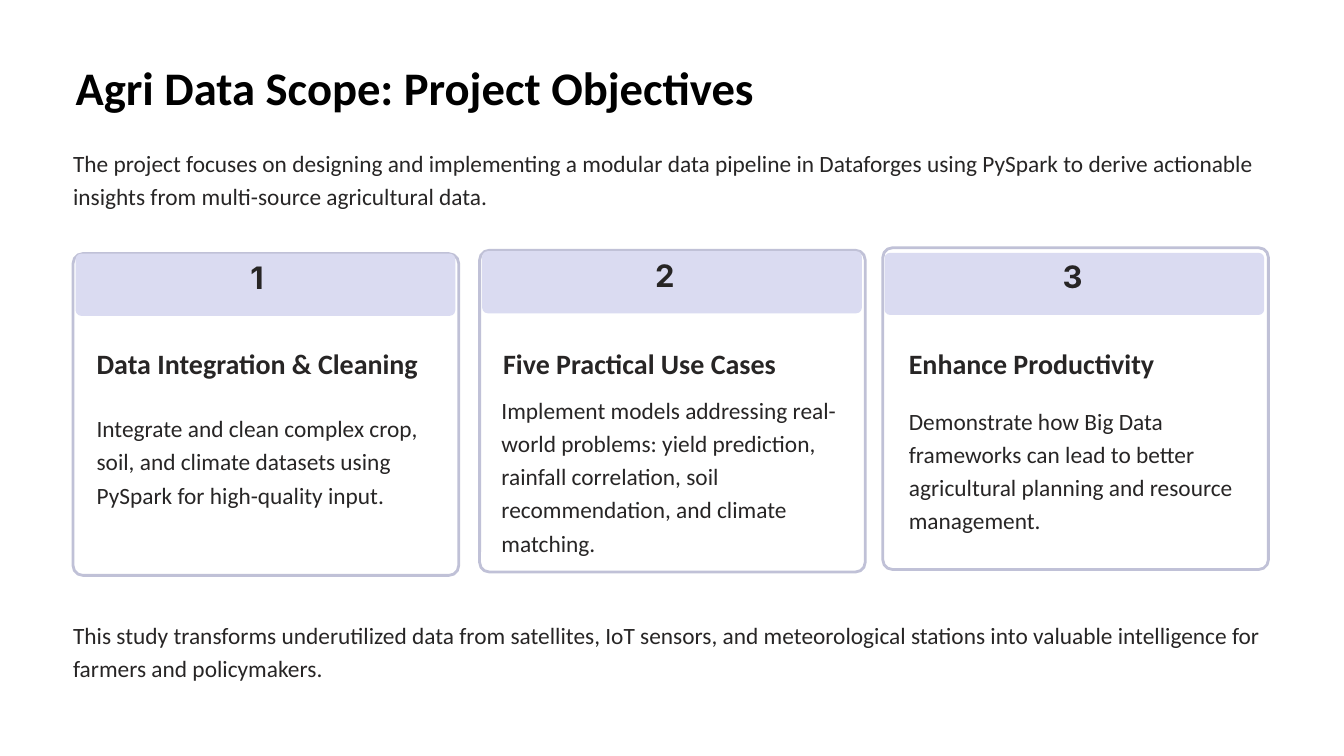
from pptx import Presentation
from pptx.dml.color import RGBColor
from pptx.enum.shapes import MSO_SHAPE
from pptx.enum.text import MSO_ANCHOR, MSO_AUTO_SIZE, PP_ALIGN
from pptx.util import Pt

SCALE = 9144  # EMU per px, 100 px to the inch
INK = "272525"
CARD_W, CARD_H = 459, 383
BAND_W, BAND_H = 452, 74

INTRO = ("The project focuses on designing and implementing a modular data pipeline "
         "in Dataforges using PySpark to derive actionable insights from "
         "multi-source agricultural data.")
CLOSE = ("This study transforms underutilized data from satellites, IoT sensors, and "
         "meteorological stations into valuable intelligence for farmers and policymakers.")

# card, band, number, heading and body corners, then heading and body text
CARDS = [
    ((87, 302), (90, 302), (298, 315), (115, 414), (115, 487),
     "Data Integration & Cleaning",
     "Integrate and clean complex crop, soil, and climate datasets using PySpark "
     "for high-quality input."),
    ((571, 298), (574, 299), (780, 313), (599, 414), (597, 465),
     "Five Practical Use Cases",
     "Implement models addressing real-world problems: yield prediction, rainfall "
     "correlation, soil recommendation, and climate matching."),
    ((1051, 295), (1053, 301), (1265, 314), (1082, 414), (1082, 478),
     "Enhance Productivity",
     "Demonstrate how Big Data frameworks can lead to better agricultural planning "
     "and resource management."),
]


def px(n):
    return int(n * SCALE)


def color(code):
    return RGBColor.from_string(code)


def write(frame, text, size, lead, bold=False, font="Calibri", ink=INK):
    """Fill a text frame with one run at a fixed line height."""
    frame.margin_left = frame.margin_top = 0
    frame.margin_right = frame.margin_bottom = 0
    frame.word_wrap = True
    frame.auto_size = MSO_AUTO_SIZE.NONE
    frame.vertical_anchor = MSO_ANCHOR.TOP
    para = frame.paragraphs[0]
    para.alignment = PP_ALIGN.LEFT
    para.line_spacing = Pt(lead)
    para.space_before = Pt(0)
    run = para.add_run()
    run.text = text
    run.font.name = font
    run.font.size = Pt(size)
    run.font.bold = bold
    run.font.color.rgb = color(ink)


def add_text(slide, spot, size, *args, **style):
    box = slide.shapes.add_textbox(*map(px, spot + size))
    write(box.text_frame, *args, **style)


def add_panel(slide, spot, size, round_by, fill, line=None):
    panel = slide.shapes.add_shape(MSO_SHAPE.ROUNDED_RECTANGLE, *map(px, spot + size))
    panel.shadow.inherit = False
    panel.adjustments[0] = round_by
    panel.fill.solid()
    panel.fill.fore_color.rgb = color(fill)
    if line:
        panel.line.color.rgb = color(line)
        panel.line.width = Pt(2.4)
    else:
        panel.line.fill.background()


def add_title(slide, text):
    title = slide.shapes.title
    title.left, title.top, title.width, title.height = map(px, (90, 59, 1047, 78))
    write(title.text_frame, text, 40, 55.5, bold=True, ink="000000")


def add_card(slide, number, card, band, spot, head_at, body_at, head, body):
    add_panel(slide, card, (CARD_W, CARD_H), 0.03, "FFFFFF", "C0C1D7")
    add_panel(slide, band, (BAND_W, BAND_H), 0.09, "DADBF1")
    add_text(slide, spot, (37, 47), str(number), 26.5, 26.5, bold=True, font="Inter")
    add_text(slide, head_at, (403, 39), head, 24, 27.5, bold=True)
    add_text(slide, body_at, (403, 198), body, 20, 28.5)


def main():
    deck = Presentation()
    deck.slide_width, deck.slide_height = px(1600), px(900)
    slide = deck.slides.add_slide(deck.slide_layouts[5])
    add_title(slide, "Agri Data Scope: Project Objectives")
    add_text(slide, (87, 171), (1426, 79), INTRO, 20, 28.5)
    for number, card in enumerate(CARDS, 1):
        add_card(slide, number, *card)
    add_text(slide, (87, 733), (1426, 79), CLOSE, 20, 28.5)
    deck.save("out.pptx")


if __name__ == "__main__":
    main()
